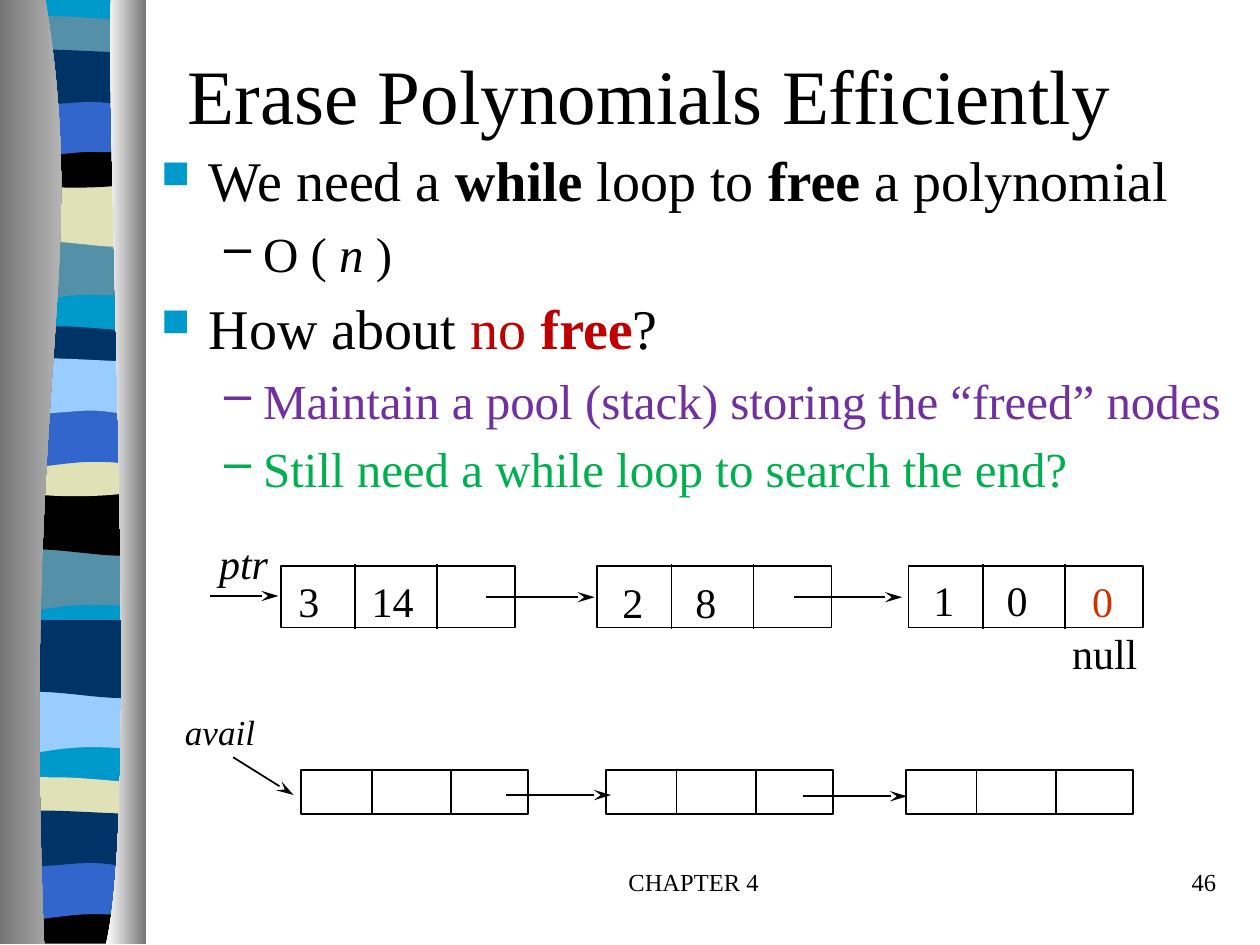
import pptx
import pptx.util
import pptx.dml.color
import pptx.enum.shapes
import pptx.enum.text
import pptx.oxml.ns
from lxml import etree

Inches, Pt = pptx.util.Inches, pptx.util.Pt
ALIGN = pptx.enum.text.PP_ALIGN
FONT = "Times New Roman"
COLORS = {
    "black": "000000", "cyan": "0099CC", "teal": "5490A8", "sand": "E1E1B7",
    "blue": "3366CC", "navy": "003366", "sky": "99CCFF", "red": "C00000",
    "purple": "7030A0", "green": "00B050", "rust": "CC3300",
    "gray": "767676", "silver": "D3D3D3", "white": "FFFFFF",
}

# Band outlines, y from the band's top: a start point, then corners (x, y)
# or Bezier curves (x1, y1, x2, y2, x, y)
BANDS = {
    "swell": [(1.14, 0), (1.14, .47), (.39, .39, .24, .55, .05, .47), (.05, 0)],
    "ripple": [(1.14, 0), (1.14, .47), (.96, .55, .39, .41, .06, .47), (.06, 0)],
    "arch": [(1.14, .05), (1.14, .29), (.96, .34, .24, .34, .05, .29), (.05, .05),
             (.12, 0, .29, .01, .47, .01), (.65, .01, 1, .04, 1.14, .05)],
    "bowl": [(1.14, 0), (1.14, .32), (.96, .38, .24, .38, .06, .32), (.06, 0),
             (.72, .05, .91, 0, 1.14, 0)],
    "base": [(1.14, 0), (1.14, .37), (.06, .37), (.05, 0),
             (.72, .05, .91, 0, 1.14, 0)],
    "dome": [(1.14, 0), (1.14, .47), (.97, .42, .9, .42, .72, .42),
             (.54, .42, .22, .47, .05, .47), (.05, 0)],
    "flag": [(1.14, .05), (1.14, .36), (1.07, .41, .9, .36, .72, .36),
             (.54, .36, .17, .41, .05, .36), (.05, .05),
             (.21, 0, .79, .05, 1.14, .05)],
    "backdrop": [(1.14, 0), (1.14, 7.47), (.05, 7.47), (.05, 0)],
}
UNSTRETCHED = ("base", "backdrop")
STRETCH = 1.25  # height of the wavy bands about their middle
RIBBON = [  # band, top, colour, from back to front
    ("backdrop", 0, "cyan"),
    ("swell", 1.85, "teal"), ("ripple", 1.41, "sand"), ("arch", .16, "teal"),
    ("bowl", 1.08, "black"), ("dome", .74, "blue"), ("flag", .41, "navy"),
    ("swell", 4.31, "teal"), ("ripple", 3.86, "black"), ("arch", 2.62, "navy"),
    ("bowl", 3.53, "sand"), ("dome", 3.2, "blue"), ("flag", 2.86, "sky"),
    ("swell", 5.44, "sky"), ("ripple", 4.99, "navy"), ("arch", 6.2, "sand"),
    ("base", 7.12, "black"), ("dome", 6.79, "blue"), ("flag", 6.45, "navy"),
]
CURTAINS = [  # outline, left colour, right colour
    ([(.36, 0), (.72, 2.16, .17, 2.96, .35, 7.49), (0, 7.49), (0, 0)],
     "gray", "silver"),
    ([(.88, 0), (.84, 1.25, 1.11, 6.46, .84, 7.49), (1.16, 7.49), (1.16, 0)],
     "white", "gray"),
]

# level, runs of (text, colour, style)
BODY = [
    (0, [("We need a ", "black", ""), ("while", "black", "b"),
         (" loop to ", "black", ""), ("free", "black", "b"),
         (" a polynomial", "black", "")]),
    (1, [("O ( ", "black", ""), ("n ", "black", "i"), (")", "black", "")]),
    (0, [("How about ", "black", ""), ("no ", "red", ""),
         ("free", "red", "b"), ("?", "black", "")]),
    (1, [("Maintain a pool (stack) storing the “freed” nodes", "purple", "")]),
    (1, [("Still need a while loop to search the end?", "green", "")]),
]
# indent, hanging, bullet, size, space before
LEVELS = [(.38, -.38, "■", 32, 6.4), (.81, -.31, "–", 28, 5.6)]

# node lefts, top, width, height, divider offsets
CHAINS = [
    ((2.39, 4.81, 7.19), 6.11, 1.8, .35, (.56, 1.19)),
    ((2.23, 4.74, 7.21), 4.49, 1.86, .49, (.59, 1.24)),
]
ARROWS = [
    (4.02, 6.31, 4.85, 6.31), (6.37, 6.32, 7.2, 6.32), (1.85, 6.01, 2.33, 6.31),
    (3.86, 4.74, 4.72, 4.74), (6.3, 4.74, 7.16, 4.74), (1.67, 4.73, 2.21, 4.73),
]
LABELS = [  # text, left, top, width, height, size, colour, italic
    ("avail", 1.37, 5.59, .76, .44, 20, "black", True),
    ("ptr", 1.64, 4.22, .6, .51, 24, "black", True),
    ("3\t14", 2.27, 4.52, 1.12, .5, 24, "black", False),
    ("2\t8", 4.84, 4.53, .95, .5, 24, "black", False),
    ("1\t0", 7.31, 4.51, .95, .5, 24, "black", False),
    ("0", 8.57, 4.52, .37, .5, 24, "rust", False),
    ("null", 8.41, 4.93, .72, .5, 24, "black", False),
]
CELL_TAB = .58


def rgb(name):
    return pptx.dml.color.RGBColor.from_string(COLORS[name])


def add_xml(parent, tag, **attrs):
    return etree.SubElement(parent, pptx.oxml.ns.qn(tag), attrs)


def add_outline(s, outline, top=0, stretch=1):
    """Build straight sides first, then merge each curve's three into a Bezier."""
    points = [part[i:i + 2] for part in outline for i in range(0, len(part), 2)]
    ys = [y for _, y in points]
    middle = (min(ys) + max(ys)) / 2
    points = [(Inches(x), Inches(top + middle + (y - middle) * stretch))
              for x, y in points]
    builder = s.shapes.build_freeform(*points[0])
    builder.add_line_segments(points[1:], close=True)
    sp = builder.convert_to_shape()
    sides = iter(sp._element.findall(".//" + pptx.oxml.ns.qn("a:lnTo")))
    for part in outline[1:]:
        side = next(sides)
        if len(part) == 6:
            curve = etree.Element(pptx.oxml.ns.qn("a:cubicBezTo"))
            side.addprevious(curve)
            for line in (side, next(sides), next(sides)):
                curve.append(line[0])
                line.getparent().remove(line)
    sp.shadow.inherit = False
    sp.line.fill.background()
    return sp


def add_line(s, x1, y1, x2, y2, arrow=False):
    line = s.shapes.add_connector(pptx.enum.shapes.MSO_CONNECTOR.STRAIGHT,
                                  Inches(x1), Inches(y1), Inches(x2), Inches(y2))
    line.line.color.rgb = rgb("black")
    line.line.width = Pt(1)
    if arrow:
        add_xml(line.line._get_or_add_ln(), "a:tailEnd", type="stealth", w="med", len="lg")
    add_xml(line._element.spPr, "a:effectLst")


def add_box(s, x, y, w, h, wrap=True):
    tf = s.shapes.add_textbox(Inches(x), Inches(y), Inches(w), Inches(h)).text_frame
    tf.word_wrap = wrap
    return tf


def style(font, size, color="black", italic=False):
    font.name, font.size, font.italic = FONT, Pt(size), italic
    font.color.rgb = rgb(color)


def add_text(s, text, x, y, w, h, size, color="black", italic=False,
             align=ALIGN.LEFT, wrap=False):
    tf = add_box(s, x, y, w, h, wrap)
    p = tf.paragraphs[0]
    p.add_run().text = text
    p.alignment = align
    if "\t" in text:
        tabs = add_xml(p._p.get_or_add_pPr(), "a:tabLst")
        add_xml(tabs, "a:tab", pos=str(Inches(CELL_TAB)), algn="l")
    style(p.font, size, color, italic)
    return tf


def add_body(s):
    tf = add_box(s, 1.18, 1.11, 8.67, 4.5)
    for n, (level, runs) in enumerate(BODY):
        p = tf.add_paragraph() if n else tf.paragraphs[0]
        margin, indent, bullet, size, gap = LEVELS[level]
        p.level = level
        p.space_before = Pt(gap if n else 0)
        pPr = p._p.get_or_add_pPr()
        pPr.set("marL", str(Inches(margin)))
        pPr.set("indent", str(Inches(indent)))
        if level == 0:
            add_xml(add_xml(pPr, "a:buClr"), "a:srgbClr", val=COLORS["cyan"])
            add_xml(pPr, "a:buSzPct", val="70000")
        add_xml(pPr, "a:buChar", char=bullet)
        for text, color, look in runs:
            r = p.add_run()
            r.text = text
            style(r.font, size, color, look == "i")
            r.font.bold = look == "b"


def add_chain(s, lefts, top, width, height, dividers):
    for left in lefts:
        node = s.shapes.add_shape(pptx.enum.shapes.MSO_SHAPE.RECTANGLE, Inches(left),
                                  Inches(top), Inches(width), Inches(height))
        node.shadow.inherit = False
        node.fill.background()
        node.line.color.rgb = rgb("black")
        node.line.width = Pt(1)
        for dx in dividers:
            add_line(s, left + dx, top - .01, left + dx, top + height + .01)


def main():
    prs = pptx.Presentation()
    prs.slide_width, prs.slide_height = Inches(10), Inches(7.5)
    s = prs.slides.add_slide(prs.slide_layouts[6])
    for band, top, color in RIBBON:
        sp = add_outline(s, BANDS[band], top, 1 if band in UNSTRETCHED else STRETCH)
        sp.fill.solid()
        sp.fill.fore_color.rgb = rgb(color)
    for outline, *ends in CURTAINS:
        fill = add_outline(s, outline).fill
        fill.gradient()
        fill.gradient_angle = 0
        for stop, color in zip(fill.gradient_stops, ends):
            stop.color.rgb = rgb(color)
    add_text(s, "CHAPTER 4", 3.92, 6.83, 3.17, .5, 14, align=ALIGN.CENTER, wrap=True)
    add_text(s, "46", 7.67, 6.83, 2.08, .5, 14, align=ALIGN.RIGHT, wrap=True)
    title = add_text(s, "Erase Polynomials Efficiently", .55, .12, 9.21, 1.25, 44,
                     align=ALIGN.CENTER, wrap=True)
    title.vertical_anchor = pptx.enum.text.MSO_ANCHOR.MIDDLE
    add_body(s)
    for chain in CHAINS:
        add_chain(s, *chain)
    for arrow in ARROWS:
        add_line(s, *arrow, arrow=True)
    for label in LABELS:
        add_text(s, *label)
    prs.save("out.pptx")


if __name__ == "__main__":
    main()
